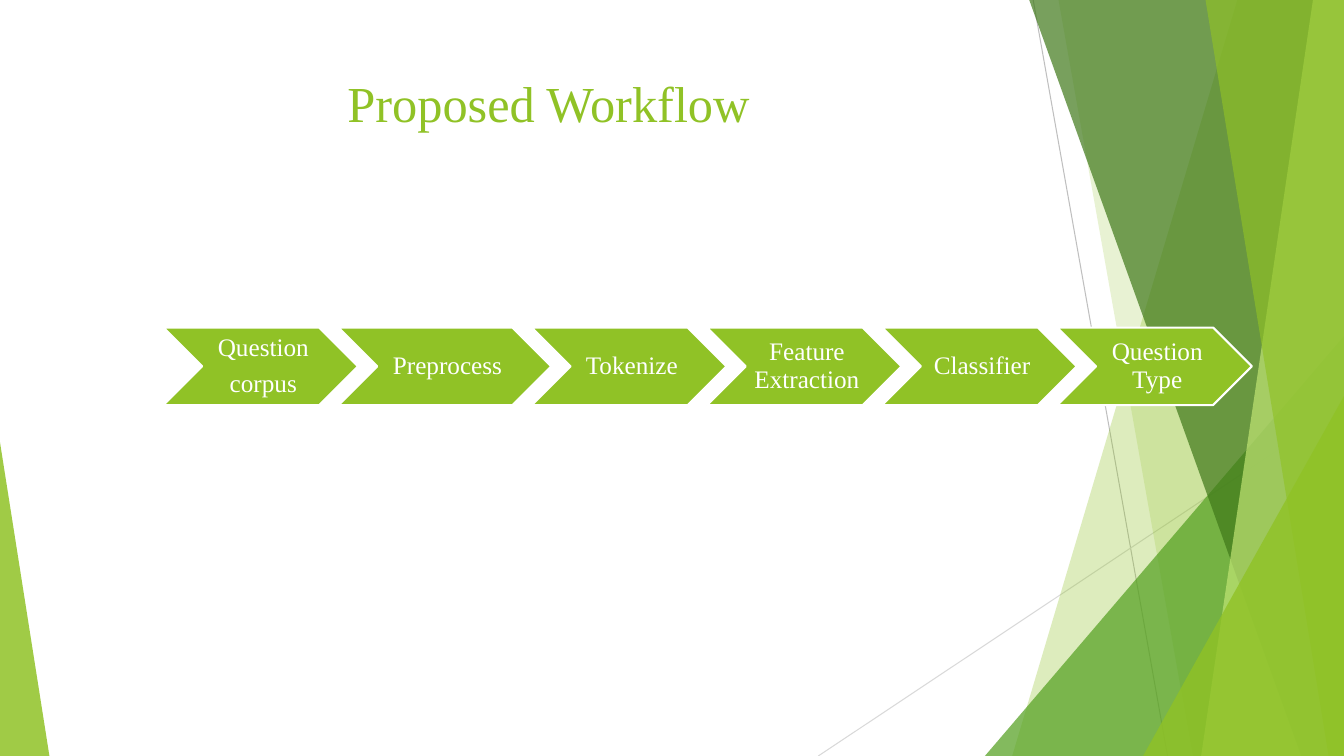
from dataclasses import dataclass
from typing import Any

from lxml import etree
from pptx import Presentation
from pptx import util as u
from pptx.dml import color
from pptx.enum import shapes, text
from pptx.oxml import ns

WIDTH, HEIGHT = 960, 540
BLEED = -0.6
GREEN, WHITE = "90C226", "FFFFFF"
SERIF = "Times New Roman"


@dataclass
class Ray:
    start: tuple[float, float]
    end: tuple[float, float]
    tint: str


@dataclass
class Panel:
    top_x: float
    bottom_x: float
    tint: str
    opacity: int


@dataclass
class Wedge:
    left: float
    top: float
    width: float
    apex: float
    tint: str
    opacity: int


@dataclass
class Step:
    paragraphs: list[str]
    width: float = 139


FACETS = [
    Ray((738, 0), (834, HEIGHT), "BFBFBF"),
    Ray((WIDTH, 290), (584.5, HEIGHT), "D9D9D9"),
    Panel(884, 723, GREEN, 30),
    Panel(756, 852, GREEN, 20),
    Wedge(703.5, 240, 256.5, 1, "54A021", 72),
    Panel(735, 929.5, "3F7819", 70),
    Panel(938, 858, "C0E474", 70),
    Panel(861, 949, GREEN, 65),
    Wedge(816.5, 283, 143.5, 1, GREEN, 80),
    Wedge(0, 316, 35.3, 0, GREEN, 85),
]

STEPS = [
    Step(["Question", "corpus"]),
    Step(["Preprocess"], 152),
    Step(["Tokenize"]),
    Step(["Feature Extraction"]),
    Step(["Classifier"]),
    Step(["Question Type"]),
]
STEPS_LEFT, STEPS_TOP, STEP_HEIGHT, OVERLAP = 116.7, 234, 55.4, 13.9


def paint(target: Any, tint: str) -> None:
    target.rgb = color.RGBColor.from_string(tint)


def apply_format(target: Any, values: dict[str, Any]) -> None:
    for name, value in values.items():
        setattr(target, name, value)


def fill_shape(shape: Any, tint: str, opacity: int = 100) -> None:
    shape.shadow.inherit = False
    shape.fill.solid()
    paint(shape.fill.fore_color, tint)
    if opacity < 100:
        solid = shape.fill._xPr.find(ns.qn("a:solidFill"))
        etree.SubElement(solid[0], ns.qn("a:alpha"), val=str(opacity * 1000))


def add_facet(group: Any, facet: Ray | Panel | Wedge) -> None:
    if isinstance(facet, Ray):
        ray = group.shapes.add_connector(
            shapes.MSO_CONNECTOR.STRAIGHT, *map(u.Pt, facet.start + facet.end))
        paint(ray.line.color, facet.tint)
        ray.line.width = u.Pt(0.75)
        etree.SubElement(ray._element.spPr, ns.qn("a:effectLst"))
        return
    if isinstance(facet, Panel):
        corners = [(WIDTH, BLEED), (WIDTH, HEIGHT), (facet.bottom_x, HEIGHT)]
        outline = group.shapes.build_freeform(u.Pt(facet.top_x), u.Pt(BLEED))
        outline.add_line_segments([(u.Pt(x), u.Pt(y)) for x, y in corners])
        shape = outline.convert_to_shape()
    else:
        shape = group.shapes.add_shape(
            shapes.MSO_SHAPE.ISOSCELES_TRIANGLE, u.Pt(facet.left), u.Pt(facet.top),
            u.Pt(facet.width), u.Pt(HEIGHT - facet.top))
        shape.adjustments[0] = facet.apex
    fill_shape(shape, facet.tint, facet.opacity)
    shape.line.fill.background()


def add_text(parent: Any, frame: tuple[float, ...], lines: list[str], size: float,
             tint: str, frame_format: dict[str, Any],
             para_format: dict[str, Any]) -> None:
    box = parent.shapes.add_textbox(*map(u.Pt, frame))
    apply_format(box.text_frame, {"word_wrap": True} | frame_format)
    box.text_frame.text = "\n".join(lines)
    for para in box.text_frame.paragraphs:
        apply_format(para, {"alignment": text.PP_ALIGN.CENTER} | para_format)
        for span in para.runs:
            apply_format(span.font, {"name": SERIF, "size": u.Pt(size)})
            paint(span.font.color, tint)


def add_step(group: Any, step: Step, left: float) -> None:
    chevron = group.shapes.add_shape(
        shapes.MSO_SHAPE.CHEVRON, u.Pt(left), u.Pt(STEPS_TOP),
        u.Pt(step.width), u.Pt(STEP_HEIGHT))
    fill_shape(chevron, GREEN)
    paint(chevron.line.color, WHITE)
    chevron.line.width = u.Pt(1.5)
    point = STEP_HEIGHT / 2
    add_text(
        group, (left + point, STEPS_TOP, step.width - 2 * point, STEP_HEIGHT),
        step.paragraphs, 18, WHITE,
        {"vertical_anchor": text.MSO_ANCHOR.MIDDLE, "margin_left": u.Pt(5.7),
         "margin_right": u.Pt(1.9), "margin_top": u.Pt(1.9),
         "margin_bottom": u.Pt(1.9)},
        {"line_spacing": 0.9, "space_after": u.Pt(6.3)})


def main() -> None:
    deck = Presentation()
    apply_format(deck, {"slide_width": u.Pt(WIDTH), "slide_height": u.Pt(HEIGHT)})
    page = deck.slides.add_slide(deck.slide_layouts[6])

    backdrop = page.shapes.add_group_shape()
    for facet in FACETS:
        add_facet(backdrop, facet)

    add_text(page, (53.3, 48, 677, 104), ["Proposed Workflow"], 36, GREEN, {}, {})

    workflow = page.shapes.add_group_shape()
    left = STEPS_LEFT
    for step in STEPS:
        add_step(workflow, step, left)
        left += step.width - OVERLAP

    deck.save("out.pptx")


if __name__ == "__main__":
    main()
